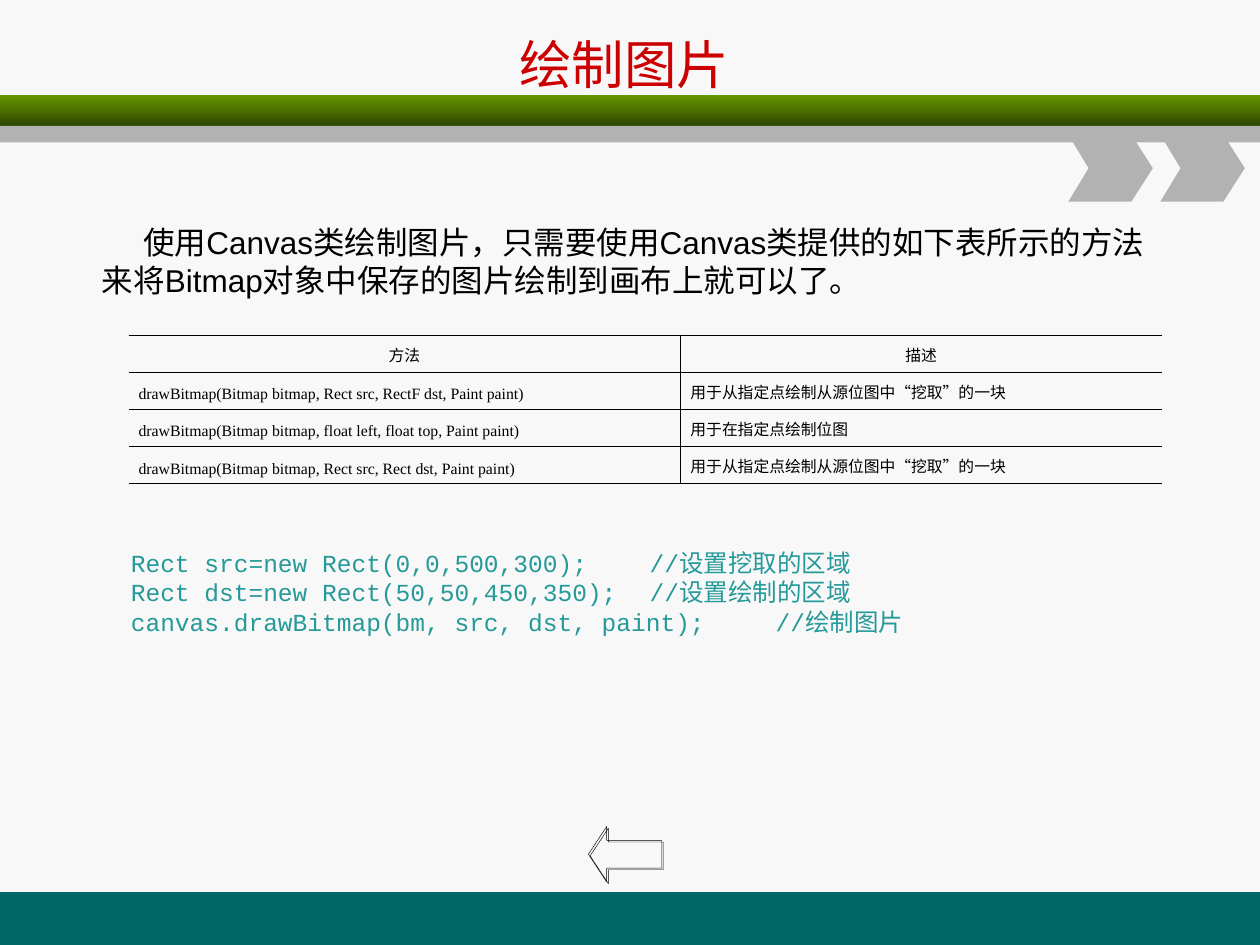
from lxml.etree import SubElement
from pptx import Presentation
from pptx.dml.color import RGBColor
from pptx.enum.shapes import MSO_SHAPE
from pptx.enum.text import MSO_ANCHOR, PP_ALIGN
from pptx.oxml import parse_xml
from pptx.oxml.ns import nsdecls, qn
from pptx.util import Inches, Pt

TITLE = "绘制图片"
INTRO = ("使用Canvas类绘制图片，只需要使用Canvas类提供的如下表所示的方法"
         "来将Bitmap对象中保存的图片绘制到画布上就可以了。")
METHODS = [
    ("方法", "描述"),
    ("drawBitmap(Bitmap bitmap, Rect src, RectF dst, Paint paint)",
     "用于从指定点绘制从源位图中“挖取”的一块"),
    ("drawBitmap(Bitmap bitmap, float left, float top, Paint paint)",
     "用于在指定点绘制位图"),
    ("drawBitmap(Bitmap bitmap, Rect src, Rect dst, Paint paint)",
     "用于从指定点绘制从源位图中“挖取”的一块"),
]
CODE = [
    "Rect src=new Rect(0,0,500,300);\t //设置挖取的区域",
    "Rect dst=new Rect(50,50,450,350);\t //设置绘制的区域",
    "canvas.drawBitmap(bm, src, dst, paint);\t //绘制图片",
]
COLUMNS = (4.38, 3.82)
ROW_HEIGHT = 0.29
CHEVRON = [(0, 0), (0.5, 0), (0.67, 0.265), (0.5, 0.53), (0, 0.53), (0.16, 0.265)]
CHEVRON_LEFTS = (8.48, 9.21)
NO_TABLE_STYLE = "{2D5ABB26-0587-4C30-8999-92F81FD0307C}"


def rgb(color):
    """Turn a hex string into a colour."""
    return RGBColor.from_string(color)


def write(tf, lines, size, font="Arial", color="000000", align=PP_ALIGN.LEFT,
          anchor=MSO_ANCHOR.TOP, indent=0, spacing=None):
    """Fill a text frame with formatted paragraphs."""
    tf.word_wrap = True
    tf.vertical_anchor = anchor
    for i, line in enumerate(lines):
        p = tf.paragraphs[0] if i == 0 else tf.add_paragraph()
        p.alignment = align
        if spacing:
            p.line_spacing = Pt(spacing)
        if indent:
            p._p.get_or_add_pPr().set("indent", str(Inches(indent)))
        r = p.add_run()
        r.text = line
        r.font.size = Pt(size)
        r.font.name = font
        r.font.color.rgb = rgb(color)


def add_text(s, box, lines, size, **style):
    """Add a text box."""
    write(s.shapes.add_textbox(*map(Inches, box)).text_frame, lines, size, **style)


def paint(sp, color):
    """Give a shape a plain fill with no line or shadow."""
    sp.shadow.inherit = False
    sp.line.fill.background()
    sp.fill.solid()
    sp.fill.fore_color.rgb = rgb(color)


def add_band(s, top, height, color):
    """Add a full-width band."""
    sp = s.shapes.add_shape(MSO_SHAPE.RECTANGLE, 0, Inches(top), Inches(10), Inches(height))
    paint(sp, color)
    return sp


def add_chevron(s, left, top):
    """Add a chevron outline."""
    points = [(Inches(left + x), Inches(top + y)) for x, y in CHEVRON]
    builder = s.shapes.build_freeform(*points[0])
    builder.add_line_segments(points[1:], close=True)
    paint(builder.convert_to_shape(), "B2B2B2")


def add_back_arrow(s):
    """Add the outlined arrow with its hard shadow."""
    sp = s.shapes.add_shape(MSO_SHAPE.LEFT_ARROW, *map(Inches, (4.67, 6.56, 0.58, 0.44)))
    sp.adjustments[0], sp.adjustments[1] = 0.5, 0.33
    sp.fill.background()
    sp.line.color.rgb = rgb("000000")
    sp.line.width = Pt(0.25)
    sp.shadow.inherit = False
    effects = sp._element.spPr.find(qn("a:effectLst"))
    shadow = SubElement(effects, qn("a:outerShdw"), dist=str(Pt(1.4)),
                        dir=str(45 * 60000), algn="ctr", rotWithShape="0")
    SubElement(shadow, qn("a:srgbClr"), val="000000")


def set_borders(cell, visible):
    """Draw the named cell sides and clear the others."""
    tc_pr = cell._tc.get_or_add_tcPr()
    for side in "LRTB":
        fill = '<a:solidFill><a:srgbClr val="000000"/></a:solidFill>' if side in visible else "<a:noFill/>"
        tc_pr.append(parse_xml(
            f'<a:ln{side} {nsdecls("a")} w="{Pt(0.45)}">{fill}</a:ln{side}>'))


def add_methods(s):
    """Add the table of drawing methods."""
    frame = s.shapes.add_table(len(METHODS), len(COLUMNS), Inches(1.02), Inches(2.66),
                               Inches(sum(COLUMNS)), Inches(ROW_HEIGHT * len(METHODS)))
    table = frame.table
    frame._element.find(".//" + qn("a:tableStyleId")).text = NO_TABLE_STYLE
    for column, width in zip(table.columns, COLUMNS):
        column.width = Inches(width)
    for i, row in enumerate(METHODS):
        table.rows[i].height = Inches(ROW_HEIGHT)
        for j, text in enumerate(row):
            cell = table.cell(i, j)
            cell.margin_left = cell.margin_right = Inches(0.08)
            cell.margin_top = cell.margin_bottom = Inches(0.05)
            write(cell.text_frame, [text], 9, spacing=14,
                  font="Times New Roman" if i else "Arial",
                  align=PP_ALIGN.JUSTIFY if i else PP_ALIGN.CENTER)
            cell.vertical_anchor = MSO_ANCHOR.MIDDLE
            set_borders(cell, "LTB" if j else "RTB")
            cell.fill.background()


def main():
    """Build the slide."""
    prs = Presentation()
    prs.slide_width, prs.slide_height = Inches(10), Inches(7.5)
    s = prs.slides.add_slide(prs.slide_layouts[6])
    s.background.fill.solid()
    s.background.fill.fore_color.rgb = rgb("F8F8F8")

    add_band(s, 7.08, 0.42, "006666")
    green = add_band(s, 0.75, 0.25, "669900")
    green.fill.gradient()
    green.fill.gradient_angle = 270
    for stop, position, color in zip(green.fill.gradient_stops, (0, 1), ("669900", "2F4700")):
        stop.position = position
        stop.color.rgb = rgb(color)
    add_band(s, 1, 0.13, "B2B2B2")
    for left in CHEVRON_LEFTS:
        add_chevron(s, left, 1.07)

    add_text(s, (3.59, 0.17, 2.73, 0.67), [TITLE], 30, font="DejaVu Sans", color="CC0000",
             align=PP_ALIGN.CENTER, anchor=MSO_ANCHOR.MIDDLE)
    add_text(s, (0.71, 1.72, 8.67, 0.7), [INTRO], 18, indent=0.33)
    add_back_arrow(s)
    add_text(s, (0.94, 4.3, 8.51, 0.8), CODE, 14, font="Courier New", color="269999")
    add_methods(s)
    prs.save("out.pptx")


if __name__ == "__main__":
    main()
